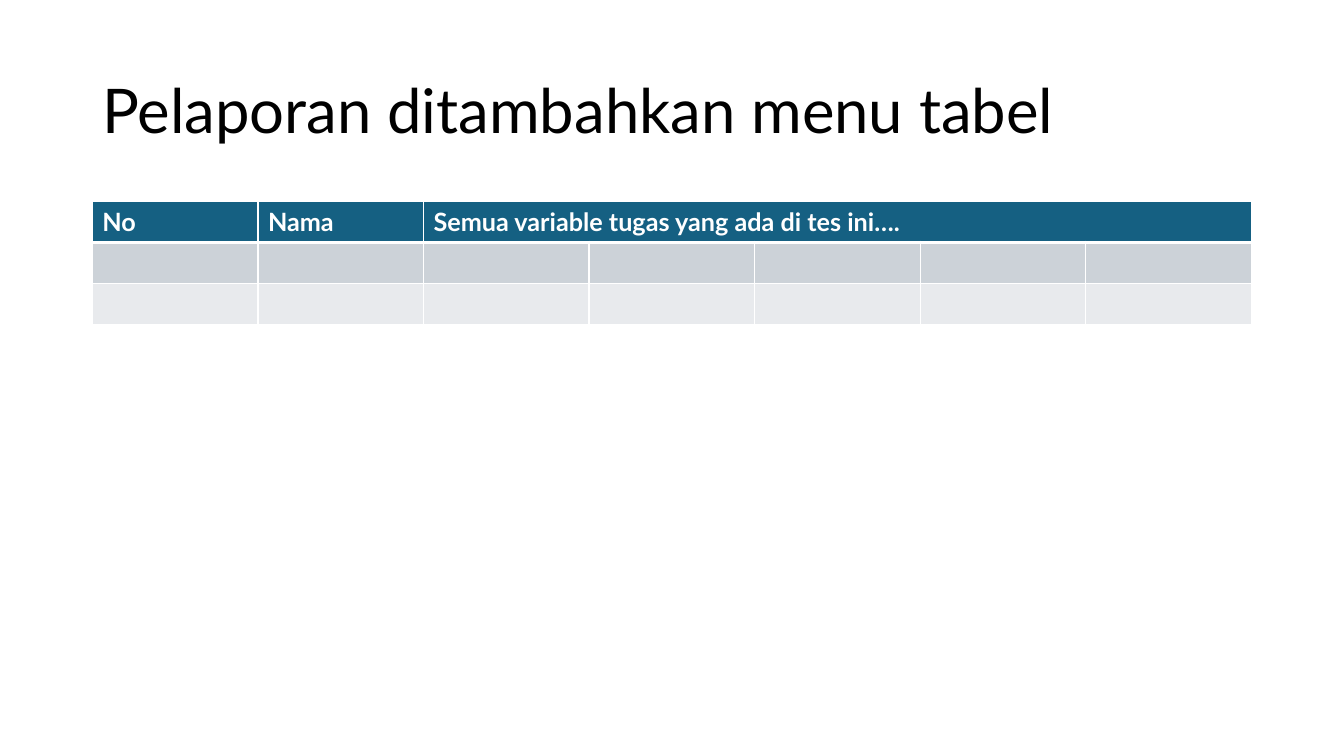
from dataclasses import dataclass

from lxml.etree import SubElement
from pptx import Presentation
from pptx.dml.color import RGBColor
from pptx.enum.text import MSO_ANCHOR as Anchor
from pptx.oxml.ns import qn
from pptx.util import Pt


@dataclass(frozen=True)
class Theme:
    font: str = "Lato"
    title_size: float = 44
    table_size: float = 18
    title: str = "000000"
    header_text: str = "FFFFFF"
    header_fill: str = "156082"
    row_fills: tuple = ("CCD2D8", "E8EAED")
    rule: str = "FFFFFF"
    thin_rule: float = 1
    thick_rule: float = 3


@dataclass(frozen=True)
class Box:
    left: float
    top: float
    width: float
    height: float

    def in_points(self):
        return Pt(self.left), Pt(self.top), Pt(self.width), Pt(self.height)


THEME = Theme()
COLUMNS = 7
HEADINGS = ("No", "Nama", "Semua variable tugas yang ada di tes ini….")


def style_paragraph(paragraph, size, color, bold=False):
    font = paragraph.font
    font.name = THEME.font
    font.size = Pt(size)
    font.bold = bold
    font.color.rgb = RGBColor.from_string(color)


def add_title(slide, box):
    frame = slide.shapes.add_textbox(*box.in_points()).text_frame
    frame.word_wrap = True
    frame.vertical_anchor = Anchor.MIDDLE
    heading = frame.paragraphs[0]
    heading.text = "Pelaporan ditambahkan menu tabel"
    heading.line_spacing = 0.9
    style_paragraph(heading, THEME.title_size, THEME.title)


def style_cell(cell, fill, top_rule, bottom_rule):
    properties = cell._tc.get_or_add_tcPr()
    thin = THEME.thin_rule
    edges = {"a:lnL": thin, "a:lnR": thin, "a:lnT": top_rule, "a:lnB": bottom_rule}
    for edge, weight in edges.items():
        line = SubElement(properties, qn(edge), w=str(Pt(weight)))
        solid = SubElement(line, qn("a:solidFill"))
        SubElement(solid, qn("a:srgbClr"), val=THEME.rule)
    cell.fill.solid()
    cell.fill.fore_color.rgb = RGBColor.from_string(fill)


def add_report_table(slide, box):
    fills = (THEME.header_fill, *THEME.row_fills)
    thin, thick = THEME.thin_rule, THEME.thick_rule
    report = slide.shapes.add_table(len(fills), COLUMNS, *box.in_points()).table
    for column in report.columns:
        column.width = Pt(box.width / COLUMNS)
    for row_number, (row, fill) in enumerate(zip(report.rows, fills)):
        row.height = Pt(box.height / len(fills))
        top_rule = thick if row_number == 1 else thin
        bottom_rule = thick if row_number == 0 else thin
        for cell in row.cells:
            style_cell(cell, fill, top_rule, bottom_rule)
            style_paragraph(cell.text_frame.paragraphs[0], THEME.table_size, THEME.title)
    report.cell(0, len(HEADINGS) - 1).merge(report.cell(0, COLUMNS - 1))
    for column_number, heading in enumerate(HEADINGS):
        label = report.cell(0, column_number).text_frame.paragraphs[0]
        label.text = heading
        style_paragraph(label, THEME.table_size, THEME.header_text, bold=True)


def main():
    presentation = Presentation()
    presentation.slide_width = Pt(960)
    presentation.slide_height = Pt(540)
    slide = presentation.slides.add_slide(presentation.slide_layouts[6])
    add_title(slide, Box(66, 28.75, 828, 104.4))
    add_report_table(slide, Box(66, 144, 828, 87.6))
    presentation.save("out.pptx")


if __name__ == "__main__":
    main()
